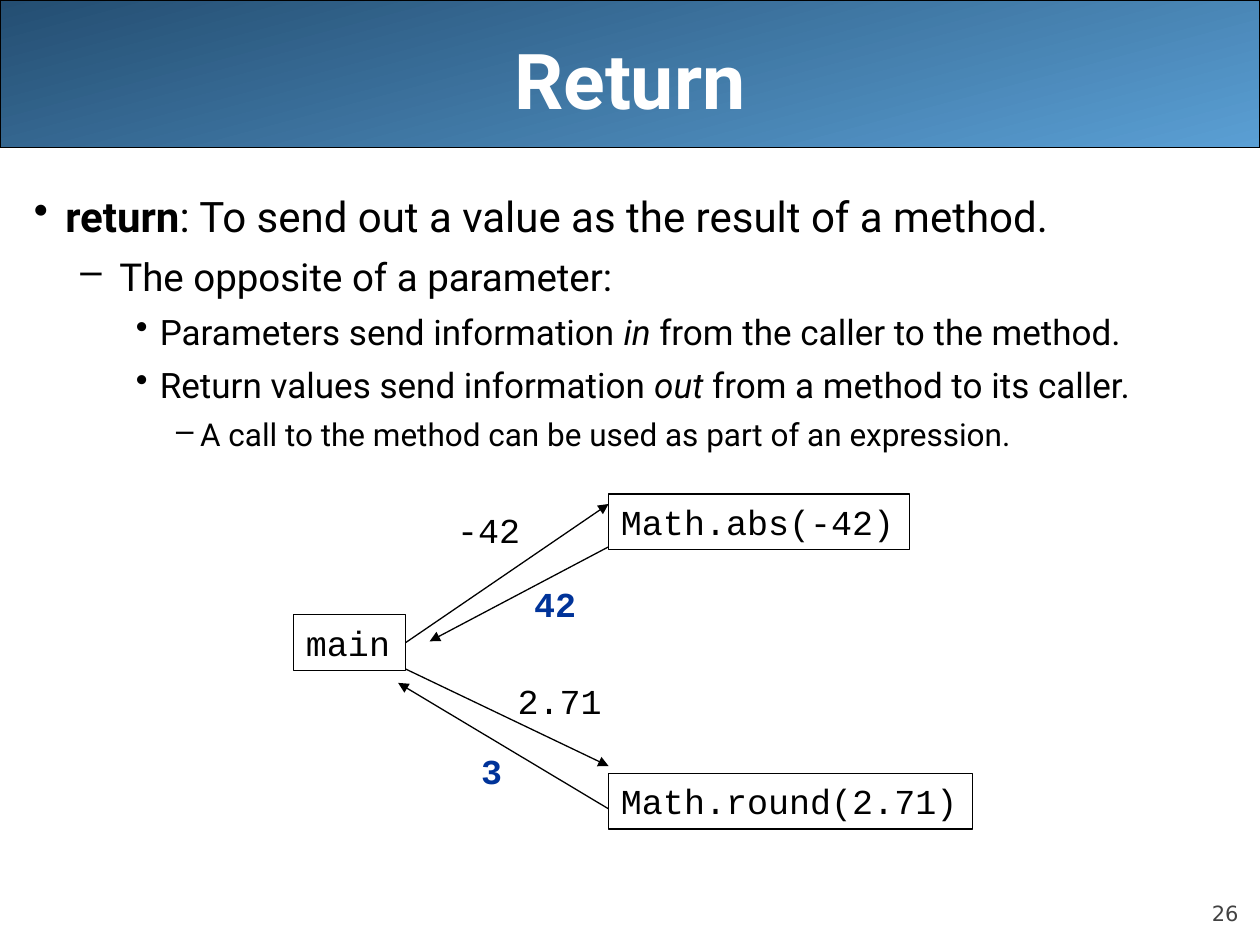
"""Build the slide that explains return values with a call diagram."""
from dataclasses import dataclass

from lxml import etree
from pptx import Presentation
from pptx.dml.color import RGBColor
from pptx.enum.shapes import MSO_CONNECTOR, MSO_SHAPE
from pptx.enum.text import MSO_ANCHOR, PP_ALIGN
from pptx.oxml.ns import qn
from pptx.util import Inches, Pt

RECTANGLE = MSO_SHAPE.RECTANGLE
STRAIGHT = MSO_CONNECTOR.STRAIGHT
TOP, MIDDLE, BOTTOM = MSO_ANCHOR.TOP, MSO_ANCHOR.MIDDLE, MSO_ANCHOR.BOTTOM
LEFT, CENTER, RIGHT = PP_ALIGN.LEFT, PP_ALIGN.CENTER, PP_ALIGN.RIGHT

BLACK = RGBColor(0x00, 0x00, 0x00)
WHITE = RGBColor(0xFF, 0xFF, 0xFF)
GRAY = RGBColor(0x42, 0x42, 0x42)
RETURN_BLUE = RGBColor(0x00, 0x33, 0x99)
BAND_COLORS = (RGBColor(0x24, 0x4E, 0x72), RGBColor(0x5A, 0x9F, 0xD4))

BODY_FONT, CODE_FONT, NUMBER_FONT = "Roboto", "Courier New", "DejaVu Sans"
COLUMNS, ROWS = 100, 75
CELL = Inches(0.1)
LINE_WIDTH = Pt(0.75)
CODE_SIZE = 20
BOX_HEIGHT, LABEL_HEIGHT = 4.4, 4.3
RIGHT_SIDE = 3


@dataclass(frozen=True)
class Level:
    """Format of one outline level; indents in grid columns, sizes in points."""
    bullet: str
    indent: float
    hanging: float
    size: int
    space_before: float


@dataclass(frozen=True)
class Point:
    """One bullet: plain text, an emphasised word and the rest."""
    level: int
    before: str
    emphasis: str = ""
    after: str = ""


@dataclass(frozen=True)
class Caption:
    """A piece of code placed on the grid."""
    text: str
    column: float
    row: float
    width: float


@dataclass(frozen=True)
class Arrow:
    """An arrow between two (column, row) points, with an optional source box."""
    start: tuple[float, float]
    end: tuple[float, float]
    source: str = ""


LEVELS = (
    Level("•", 2.5, 2.5, 24, 0),
    Level("–", 6.8, 3.1, 22, 4.4),
    Level("•", 10, 1.9, 20, 4),
    Level("–", 13.2, 1.9, 18, 3.6),
)
POINTS = (
    Point(0, "", "return", ": To send out a value as the result of a method."),
    Point(1, "The opposite of a parameter:"),
    Point(2, "Parameters send information ", "in ", "from the caller to the method."),
    Point(2, "Return values send information ", "out ", "from a method to its caller."),
    Point(3, "A call to the method can be used as part of an expression."),
)
BOXES = (
    Caption("main", 23.3, 48.8, 8.9),
    Caption("Math.abs(-42)", 48.3, 39.2, 23.9),
    Caption("Math.round(2.71)", 48.3, 61.4, 28.9),
)
ARGUMENTS = (Caption("-42", 35.3, 39.9, 7.1), Caption("2.71", 40.1, 53.4, 8.8))
RESULTS = (Caption("42", 41.4, 45.7, 5.5), Caption("3", 37.2, 59, 3.8))
ARROWS = (
    Arrow((32.2, 51), (48.3, 40), source="main"),
    Arrow((32.2, 53.1), (48.3, 60.8)),
    Arrow((48.3, 64.2), (31.6, 54.2)),
    Arrow((48.3, 43.4), (34.1, 50.9)),
)


def grid(*cells: float) -> list[int]:
    """Turn grid columns and rows into lengths."""
    return [round(cell * CELL) for cell in cells]


def write(paragraph, text: str, *, font: str = BODY_FONT, size: float = CODE_SIZE,
          color: RGBColor = BLACK, bold: bool = False, italic: bool = False,
          align=LEFT) -> None:
    """Add formatted text to a paragraph."""
    paragraph.alignment = align
    run = paragraph.add_run()
    run.text = text
    run.font.name, run.font.size = font, Pt(size)
    run.font.bold, run.font.italic = bold, italic
    run.font.color.rgb = color


def add_band(slide):
    """Draw the gradient band across the top."""
    band = slide.shapes.add_shape(RECTANGLE, *grid(0, 0, COLUMNS, 11.7))
    band.shadow.inherit = False
    band.fill.gradient()
    band.fill.gradient_angle = 285
    for stop, color in zip(band.fill.gradient_stops, BAND_COLORS):
        stop.color.rgb = color
    band.line.color.rgb = BLACK
    band.line.width = LINE_WIDTH
    return band


def add_title(slide, text: str) -> None:
    """Place the title in front of its band."""
    title = slide.shapes.title
    title.left, title.top, title.width, title.height = grid(5, 0, 90, 12.5)
    title.text_frame.vertical_anchor = MIDDLE
    write(title.text_frame.paragraphs[0], text, size=44, color=WHITE, bold=True,
          align=CENTER)
    band = add_band(slide)
    band.element.addnext(title.element)


def add_number(slide, text: str) -> None:
    """Write the slide number at the lower right."""
    frame = slide.shapes.add_textbox(*grid(90, 69.5, 8.3, 4)).text_frame
    frame.margin_left = frame.margin_right = 0
    frame.margin_top = frame.margin_bottom = 0
    frame.vertical_anchor = BOTTOM
    write(frame.paragraphs[0], text, font=NUMBER_FONT, size=12, color=GRAY, align=RIGHT)


def add_outline(slide, points: tuple[Point, ...]) -> None:
    """Write the bulleted outline."""
    frame = slide.shapes.add_textbox(*grid(1.7, 14.2, 98.3, 56.7)).text_frame
    frame.word_wrap = True
    for index, point in enumerate(points):
        level = LEVELS[point.level]
        paragraph = frame.add_paragraph() if index else frame.paragraphs[0]
        paragraph.level = point.level
        paragraph.line_spacing = 1.1
        paragraph.space_before = Pt(level.space_before)
        margin, hanging = grid(level.indent, level.hanging)
        properties = paragraph._p.get_or_add_pPr()
        properties.set("marL", str(margin))
        properties.set("indent", str(-hanging))
        etree.SubElement(properties, qn("a:buChar"), char=level.bullet)
        top_level = point.level == 0
        parts = ((point.before, False), (point.emphasis, True), (point.after, False))
        for text, emphasized in parts:
            if text:
                write(paragraph, text, size=level.size, bold=emphasized and top_level,
                      italic=emphasized and not top_level)


def add_box(slide, box: Caption):
    """Draw an outlined method box."""
    shape = slide.shapes.add_shape(
        RECTANGLE, *grid(box.column, box.row, box.width, BOX_HEIGHT))
    shape.shadow.inherit = False
    shape.fill.background()
    shape.line.color.rgb = BLACK
    shape.line.width = LINE_WIDTH
    shape.text_frame.word_wrap = False
    shape.text_frame.vertical_anchor = TOP
    write(shape.text_frame.paragraphs[0], box.text, font=CODE_FONT)
    return shape


def add_label(slide, label: Caption, color: RGBColor, bold: bool) -> None:
    """Write a value beside an arrow."""
    frame = slide.shapes.add_textbox(
        *grid(label.column, label.row, label.width, LABEL_HEIGHT)).text_frame
    write(frame.paragraphs[0], label.text, font=CODE_FONT, color=color, bold=bold)


def add_arrow(slide, arrow: Arrow, boxes: dict) -> None:
    """Draw an arrow, joined to its source box if it has one."""
    connector = slide.shapes.add_connector(STRAIGHT, *grid(*arrow.start, *arrow.end))
    if arrow.source:
        connector.begin_connect(boxes[arrow.source], RIGHT_SIDE)
    connector.line.color.rgb = BLACK
    connector.line.width = LINE_WIDTH
    properties = connector.element.spPr
    etree.SubElement(properties.find(qn("a:ln")), qn("a:tailEnd"), type="triangle")
    etree.SubElement(properties, qn("a:effectLst"))


def main() -> None:
    """Build and save the presentation."""
    presentation = Presentation()
    presentation.slide_width, presentation.slide_height = grid(COLUMNS, ROWS)
    slide = presentation.slides.add_slide(presentation.slide_layouts.get_by_name("Title Only"))
    add_title(slide, "Return")
    add_number(slide, "26")
    add_outline(slide, POINTS)
    boxes = {box.text: add_box(slide, box) for box in BOXES}
    for arrow in ARROWS:
        add_arrow(slide, arrow, boxes)
    for labels, color, bold in ((ARGUMENTS, BLACK, False), (RESULTS, RETURN_BLUE, True)):
        for label in labels:
            add_label(slide, label, color, bold)
    presentation.save("out.pptx")


if __name__ == "__main__":
    main()
